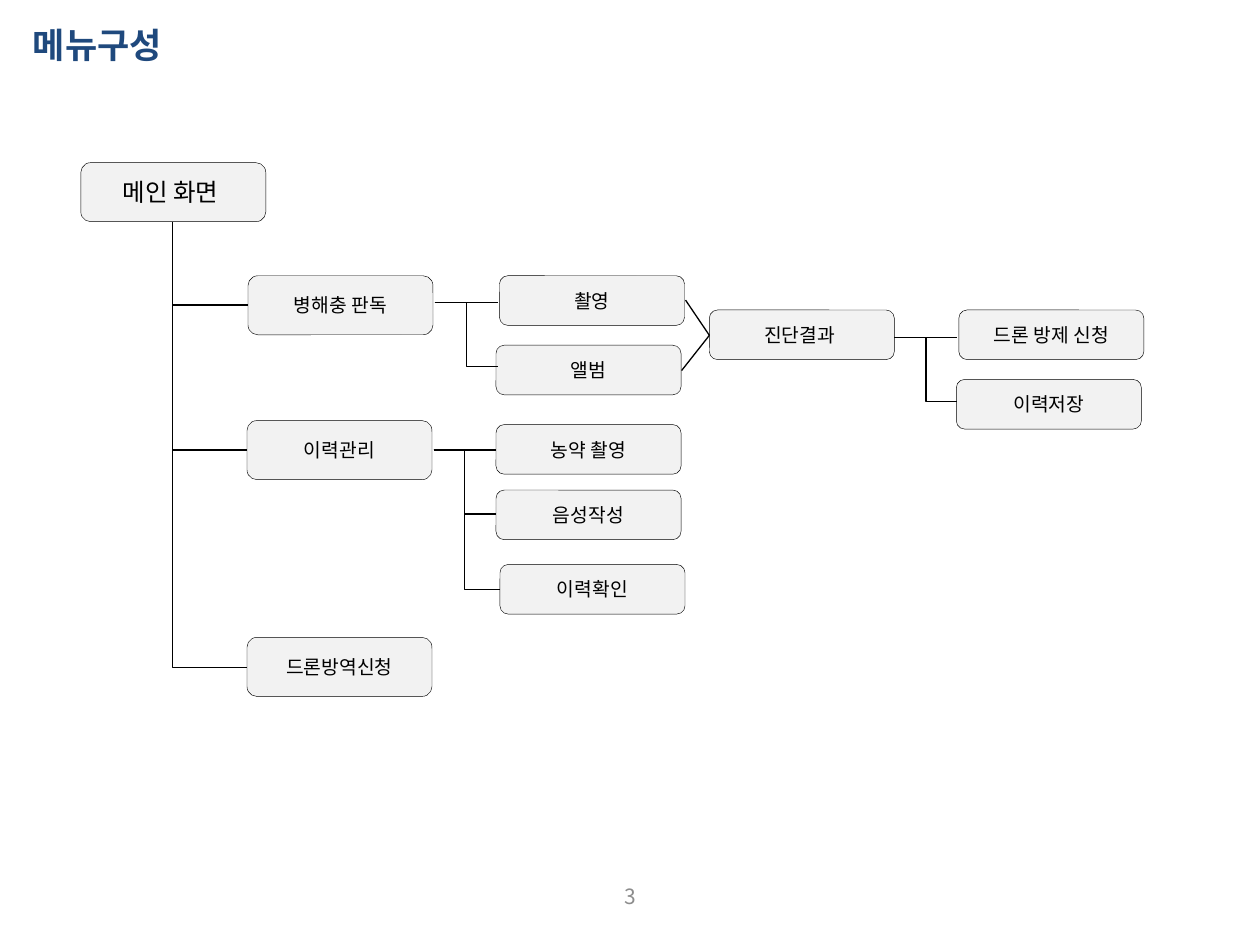
from lxml.etree import SubElement
from pptx import Presentation
from pptx.dml.color import RGBColor
from pptx.enum.shapes import MSO_CONNECTOR as Connector, MSO_SHAPE as Shape
from pptx.enum.text import MSO_ANCHOR as Anchor, PP_ALIGN as Align
from pptx.oxml.ns import qn
from pptx.util import Cm, Pt

FONT = "Noto Sans CJK KR"
TITLE = "메뉴구성"
PAGE_NUMBER = "3"
BOX_WIDTH = 3.73

# Lengths are in cm: box height, text size, then (text, left, top)
MENU_LEVELS = [
    (1.19, 14, [("메인 화면 ", 1.63, 3.28)]),
    (1.19, 11, [
        ("병해충 판독", 5.0, 5.56),
        ("이력관리", 4.98, 8.48),
        ("드론방역신청", 4.98, 12.85),
    ]),
    (1.0, 11, [
        ("촬영", 10.07, 5.56),
        ("앨범", 10.0, 6.96),
        ("농약 촬영", 10.0, 8.56),
        ("음성작성", 10.0, 9.88),
        ("이력확인", 10.08, 11.38),
        ("진단결과 ", 14.3, 6.25),
        ("드론 방제 신청", 19.33, 6.25),
        ("이력저장", 19.28, 7.65),
    ]),
]

# Start point, x of the vertical trunk, end points
BRANCHES = [
    ((3.48, 4.47), 3.48, [(4.98, 13.45)]),
    ((8.76, 6.1), 9.4, [(10.03, 6.1), (10.03, 7.39)]),
    ((8.74, 9.07), 9.36, [(10.0, 9.07), (10.0, 10.36), (10.08, 11.89)]),
    ((18.03, 6.81), 18.67, [(19.3, 6.81), (19.3, 8.1)]),
]
STRAIGHT_LINES = [
    ((3.48, 6.15), (5.0, 6.15)),
    ((3.48, 9.07), (4.98, 9.07)),
    ((13.82, 6.05), (14.3, 6.76)),
    ((13.74, 7.47), (14.3, 6.76)),
]


def color(hex_string):
    return RGBColor.from_string(hex_string)


def write_text(shape, text, size, hex_string, align, bold=False):
    frame = shape.text_frame
    frame.word_wrap = True
    frame.vertical_anchor = Anchor.MIDDLE
    paragraph = frame.paragraphs[0]
    paragraph.alignment = align
    run = paragraph.add_run()
    run.text = text
    font = run.font
    font.name, font.size, font.bold = FONT, Pt(size), bold
    font.color.rgb = color(hex_string)
    # Korean glyphs take the East Asian typeface
    SubElement(font._element, qn("a:ea")).set("typeface", FONT)


def add_box(slide, text, left, top, height, size):
    box = slide.shapes.add_shape(
        Shape.ROUNDED_RECTANGLE, Cm(left), Cm(top), Cm(BOX_WIDTH), Cm(height))
    box.shadow.inherit = False
    box.fill.solid()
    box.fill.fore_color.rgb = color("F2F2F2")
    box.line.color.rgb = color("000000")
    box.line.width = Pt(0.25)
    write_text(box, text, size, "000000", Align.CENTER)


def add_line(slide, start, end, trunk=None):
    """Draw a straight line, or an elbow that turns at x = trunk."""
    kind = Connector.STRAIGHT if trunk is None else Connector.ELBOW
    line = slide.shapes.add_connector(kind, *map(Cm, start + end))
    line.line.color.rgb = color("000000")
    line.line.width = Pt(0.75)
    properties = line._element.spPr
    SubElement(properties, qn("a:effectLst"))
    if trunk is not None:
        turn = round((trunk - start[0]) / (end[0] - start[0]) * 100000)
        geometry = properties.find(qn("a:prstGeom"))
        guide = SubElement(geometry.find(qn("a:avLst")), qn("a:gd"))
        guide.set("name", "adj1")
        guide.set("fmla", f"val {turn}")


def main():
    presentation = Presentation()
    presentation.slide_width, presentation.slide_height = Cm(25.4), Cm(19.05)
    slide = presentation.slides.add_slide(presentation.slide_layouts[5])

    title = slide.shapes.title
    title.left, title.top, title.width, title.height = map(
        Cm, (0.41, 0.2, 17.65, 1.4))
    write_text(title, TITLE, 20, "1F497D", Align.LEFT, bold=True)
    number = slide.shapes.add_textbox(Cm(0.41), Cm(17.55), Cm(24.61), Cm(1.02))
    write_text(number, PAGE_NUMBER, 12, "8C8C8C", Align.CENTER)

    for height, size, boxes in MENU_LEVELS:
        for text, left, top in boxes:
            add_box(slide, text, left, top, height, size)
    for start, trunk, ends in BRANCHES:
        for end in ends:
            add_line(slide, start, end, None if end[1] == start[1] else trunk)
    for start, end in STRAIGHT_LINES:
        add_line(slide, start, end)

    presentation.save("out.pptx")


if __name__ == "__main__":
    main()
